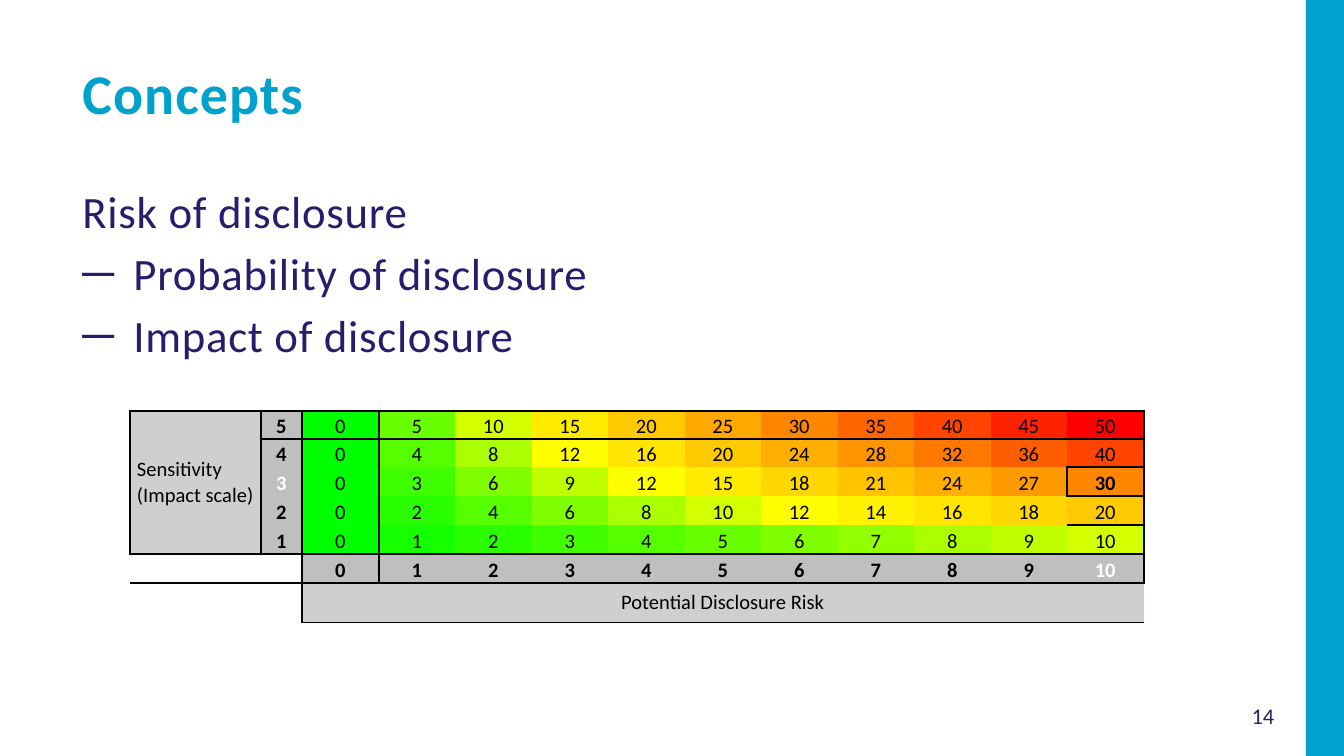
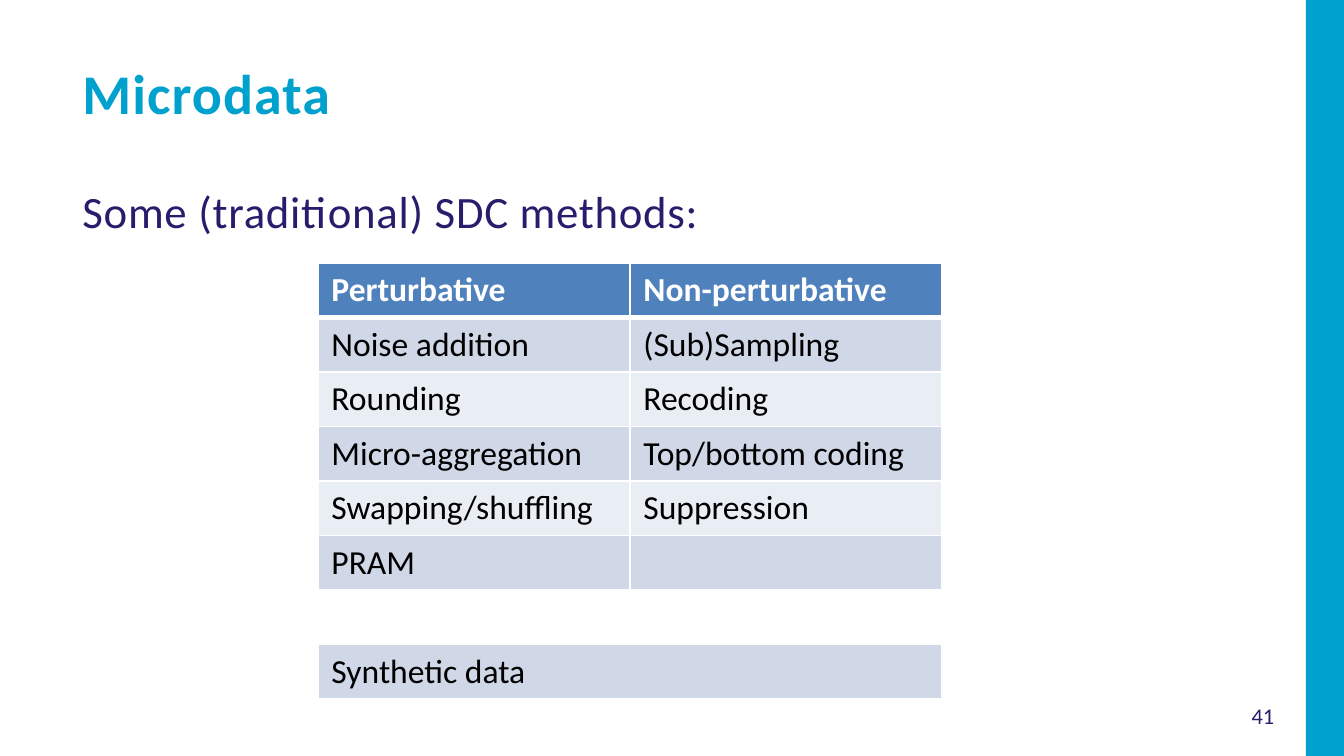
from collections import defaultdict
from lxml import etree
from pptx import Presentation
from pptx.dml.color import RGBColor
from pptx.enum.shapes import MSO_SHAPE as SHAPE
from pptx.enum.text import MSO_ANCHOR as ANCHOR, MSO_AUTO_SIZE as AUTO, PP_ALIGN as ALIGN
from pptx.oxml.ns import qn
from pptx.util import Emu, Pt

PX = 9144000 / 1344
FONT = "Calibri"
NO_STYLE = "{2D5ABB26-0587-4C30-8999-92F81FD0307C}"
CYAN = RGBColor(0x00, 0xA1, 0xCD)
NAVY = RGBColor(0x27, 0x1D, 0x6C)
BLACK = RGBColor(0x00, 0x00, 0x00)
WHITE = RGBColor(0xFF, 0xFF, 0xFF)
LABEL_GREY = RGBColor(0xD0, 0xCE, 0xCE)
SCALE_GREY = RGBColor(0xBF, 0xBF, 0xBF)
HEADER_BLUE = RGBColor(0x4F, 0x81, 0xBD)
BAND_DARK = RGBColor(0xD0, 0xD8, 0xE8)
BAND_LIGHT = RGBColor(0xE9, 0xED, 0xF4)


def write(p, text, size, color, bold=False, align=ALIGN.LEFT, spc=0):
    p.text = text
    p.alignment = align
    for r in p.runs:
        r.font.name = FONT
        r.font.size = Pt(size)
        r.font.bold = bold
        r.font.color.rgb = color
        if spc:
            r.font._element.set("spc", str(spc))
    if not text:
        etree.SubElement(p._p, qn("a:endParaRPr"), sz=str(size * 100))


def draw_borders(cell, widths, color):
    tcPr = cell._tc.get_or_add_tcPr()
    sides = [s for s in "LRTB" if s in widths]
    for i, side in enumerate(sides):
        ln = etree.Element(qn(f"a:ln{side}"), w=str(Pt(widths[side])))
        fill = etree.SubElement(ln, qn("a:solidFill"))
        etree.SubElement(fill, qn("a:srgbClr"), val=str(color))
        tcPr.insert(i, ln)


prs = Presentation()
prs.slide_width = Emu(9144000)
prs.slide_height = Emu(round(756 * PX))

pages = [
    ("Concepts", "14",
     ["Risk of disclosure", "Probability of disclosure", "Impact of disclosure"],
     (69, 382), [61, 131, 41] + [77 - i % 2 for i in range(11)],
     [29, 28, 28, 29, 29, 29, 29, 39]),
    ("Microdata", "41", ["Some (traditional) SDC methods:"],
     (318, 263), [312, 312], [54] * 8),
]
tables = []

for title, number, lines, (left, top), cols, rows in pages:
    s = prs.slides.add_slide(prs.slide_layouts[1])

    sp = s.shapes.add_shape(SHAPE.RECTANGLE, *[round(v * PX) for v in (1306, 0, 38, 756)])
    sp.shadow.inherit = False
    sp.fill.solid()
    sp.fill.fore_color.rgb = CYAN
    sp.line.fill.background()

    number_box = s.shapes.add_textbox(0, 0, 0, 0)
    body = s.placeholders[1]
    for sp, box, anchor in (
        (s.shapes.title, (69, 50, 1122, 84), ANCHOR.MIDDLE),
        (body, (69, 177, 1122, 508), ANCHOR.TOP),
        (number_box, (1220, 692, 86, 47), ANCHOR.MIDDLE),
    ):
        sp.left, sp.top, sp.width, sp.height = [round(v * PX) for v in box]
        tf = sp.text_frame
        tf.word_wrap = True
        tf.auto_size = AUTO.NONE
        tf.vertical_anchor = anchor

    write(s.shapes.title.text_frame.paragraphs[0], title, 30, CYAN, True, spc=60)
    write(number_box.text_frame.paragraphs[0], number, 12, NAVY, align=ALIGN.CENTER)

    tf = body.text_frame
    for i, line in enumerate(lines):
        p = tf.add_paragraph() if i else tf.paragraphs[0]
        write(p, line, 24, NAVY, spc=40)
        p.space_before = Pt(4.5 if i else 0)
        pPr = p._p.get_or_add_pPr()
        indent = round(51 * PX) if i else 0
        pPr.set("marL", str(indent))
        pPr.set("indent", str(-indent))
        if i:
            etree.SubElement(pPr, qn("a:buChar"), char="─")
        else:
            etree.SubElement(pPr, qn("a:buNone"))

    frame = s.shapes.add_table(len(rows), len(cols), *[
        round(v * PX) for v in (left, top, sum(cols), sum(rows))])
    tbl = frame.table
    tbl._tbl.tblPr.find(qn("a:tableStyleId")).text = NO_STYLE
    tbl.first_row = tbl.horz_banding = False
    for col, w in zip(tbl.columns, cols):
        col.width = round(w * PX)
    for row, h in zip(tbl.rows, rows):
        row.height = round(h * PX)
    tables.append(tbl)

risk, methods = tables

risk.cell(1, 1).merge(risk.cell(5, 1))
risk.cell(7, 3).merge(risk.cell(7, 13))
edges = defaultdict(dict)
for r0, c0, r1, c1 in ((1, 1, 5, 1), (1, 2, 5, 2), (1, 3, 5, 13),
                       (3, 13, 3, 13), (6, 3, 6, 13), (7, 3, 7, 13)):
    for r in range(r0, r1 + 1):
        for c, side in ((c0, "L"), (c0 - 1, "R"), (c1, "R"), (c1 + 1, "L")):
            edges[r, c][side] = 1
    for c in range(c0, c1 + 1):
        for r, side in ((r0, "T"), (r0 - 1, "B"), (r1, "B"), (r1 + 1, "T")):
            edges[r, c][side] = 1

for r in range(8):
    for c in range(14):
        cell = risk.cell(r, c)
        text, fill, color, bold = "", None, BLACK, False
        align, anchor, margin = ALIGN.CENTER, ANCHOR.BOTTOM, 0
        impact, probability = 6 - r, c - 3
        if (r, c) == (1, 1):
            text, fill = "Sensitivity (Impact scale)", LABEL_GREY
            align, anchor, margin = ALIGN.LEFT, ANCHOR.MIDDLE, 7
        elif (r, c) == (7, 3):
            text, fill = "Potential Disclosure Risk", LABEL_GREY
            anchor, margin = ANCHOR.MIDDLE, 7
        elif 1 <= r <= 5 and c == 2:
            text, fill, bold = str(impact), SCALE_GREY, True
            color = WHITE if impact == 3 else BLACK
        elif r == 6 and c >= 3:
            text, fill, bold = str(probability), SCALE_GREY, True
            color = WHITE if probability == 10 else BLACK
        elif 1 <= r <= 5 and c >= 3:
            v = impact * probability
            text, bold = str(v), (impact, probability) == (3, 10)
            red = min(255, 255 * v // 12)
            green = min(255, 255 - 255 * (v - 12) // 38)
            fill = RGBColor(red, green, 0)
        write(cell.text_frame.paragraphs[0], text, 11, color, bold, align)
        cell.vertical_anchor = anchor
        cell.margin_left = cell.margin_right = round(margin * PX)
        cell.margin_top = cell.margin_bottom = round(margin * PX)
        if fill is not None:
            cell.fill.solid()
            cell.fill.fore_color.rgb = fill
        draw_borders(cell, edges[r, c], BLACK)

method_rows = [
    ("Perturbative", "Non-perturbative"),
    ("Noise addition", "(Sub)Sampling"),
    ("Rounding", "Recoding"),
    ("Micro-aggregation", "Top/bottom coding"),
    ("Swapping/shuffling", "Suppression"),
    ("PRAM", ""),
    ("", ""),
    ("Synthetic data", ""),
]
methods.cell(7, 0).merge(methods.cell(7, 1))
for r, texts in enumerate(method_rows):
    for c, text in enumerate(texts):
        cell = methods.cell(r, c)
        header = r == 0
        write(cell.text_frame.paragraphs[0], text, 18, WHITE if header else BLACK, header)
        if any(texts):
            cell.fill.solid()
            band = BAND_DARK if r % 2 else BAND_LIGHT
            cell.fill.fore_color.rgb = HEADER_BLUE if header else band
        widths = {"L": 1, "R": 1, "T": 3 if r == 1 else 1, "B": 3 if header else 1}
        draw_borders(cell, widths, WHITE)

prs.save("out.pptx")
